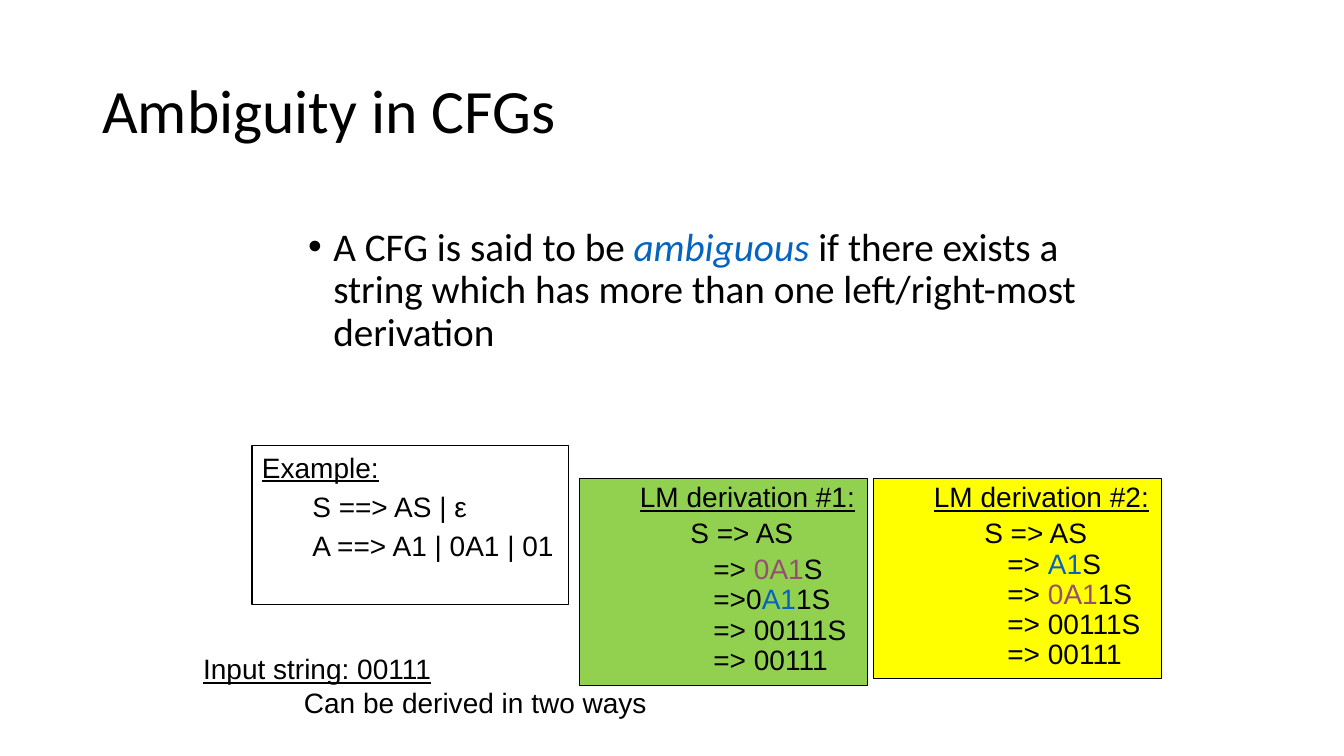
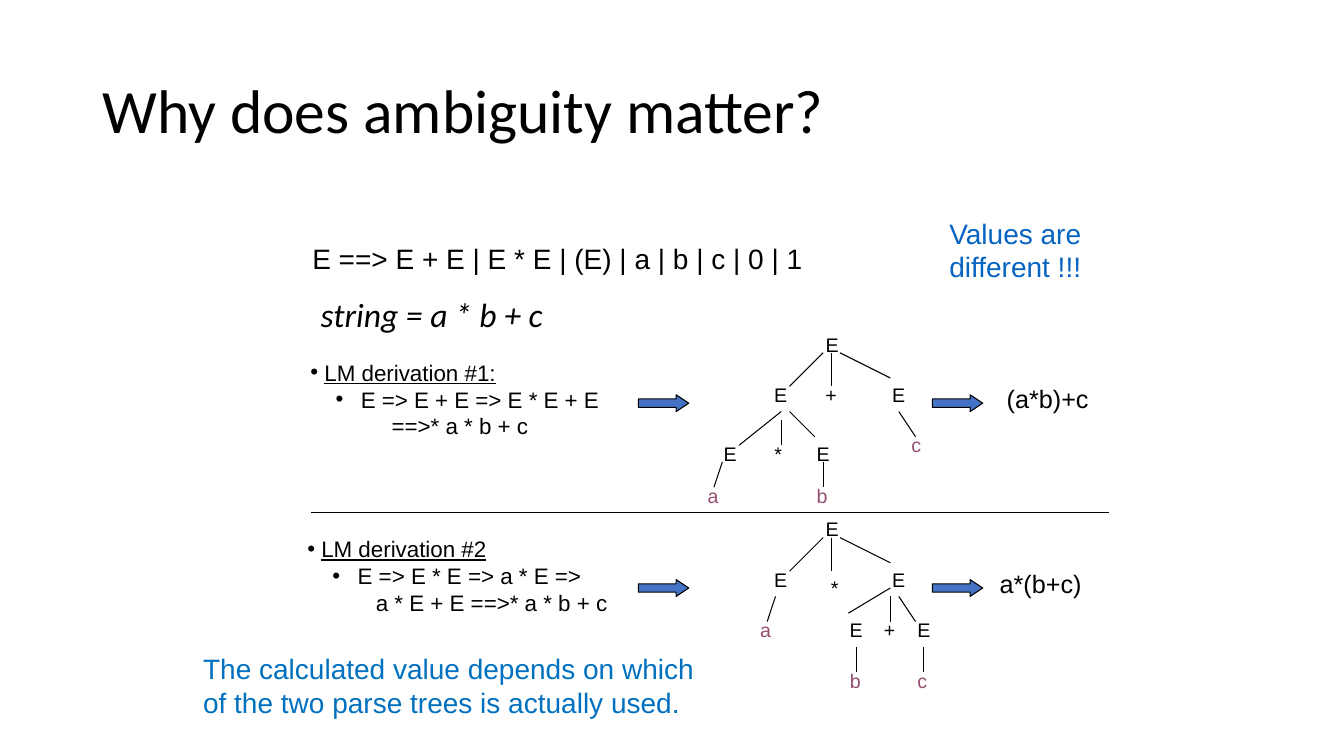
from pptx import Presentation
from pptx.dml.color import RGBColor
from pptx.enum.shapes import MSO_CONNECTOR as Connector, MSO_SHAPE as Shape
from pptx.enum.text import MSO_ANCHOR as Anchor, PP_ALIGN as Align
from pptx.oxml.ns import qn
from pptx.util import Pt
from lxml import etree

COLORS = {"black": "000000", "white": "FFFFFF", "green": "92D050", "yellow": "FFFF00",
          "arrow": "4472C4", "link": "0563C1", "plum": "954F72", "blue": "0070C0"}


def line(*runs, **layout):
    """A paragraph: runs are strings or (string, format) pairs."""
    return runs, layout


# Content: the example grammar and its two derivations
LINK, PLUM = {"color": "link"}, {"color": "plum"}
UNDER, ITALIC = {"underline": True}, {"italic": True}
STEP = {"left": 88.5, "spacing": 0.9}      # derivation steps
GAP = {"before": 4}

DEFINITION = [line("A CFG is said to be ", ("ambiguous ", {**LINK, **ITALIC}),
                   "if there exists a string which has more than one left/right-most derivation",
                   left=18, hang=18, bullet=True, spacing=0.9)]
GRAMMAR = [line(("Example:", UNDER)),
           line("S ==> AS | ε", left=36, **GAP),
           line("A ==> A1 | 0A1 | 01", left=36, **GAP)]
INPUT = [line(("Input string: 00111", UNDER)),
         line("Can be derived in two ways", left=72)]


def derivation(number, *steps):
    return [line((f"LM derivation #{number}:", UNDER), left=36, spacing=0.9),
            line("S => AS", left=72, spacing=0.9, **GAP), *steps,
            line("=> 00111S", **STEP), line("=> 00111", **STEP)]


FIRST = derivation(1, line("=> ", ("0A1", PLUM), "S", **STEP, **GAP),
                   line("=>0", ("A1", LINK), "1S", **STEP))
SECOND = derivation(2, line("=> ", ("A1", LINK), "S", **STEP),
                    line("=> ", ("0A1", PLUM), "1S", **STEP))

# text, (left, top, width, height), fill, size
GRAMMAR_BOXES = [
    (FIRST, (414, 342, 206, 148), "green"),
    (GRAMMAR, (180, 318, 226, 114), "white"),
    (SECOND, (624, 342, 206, 143), "yellow"),
]

# Content: parse trees; nodes are (text, centre, top), branches are (x1, y1, x2, y2),
# with heights counted from the top of the tree
SHARED_NODES = [("E", 594.4, 0), ("E", 557.6, 36), ("E", 641.9, 36)]
SHARED_BRANCHES = [(588, 18, 564, 42), (594, 18, 594, 42), (600, 18, 636, 36),
                   (642, 60, 654, 78)]
TREES = [
    {"top": 234, "value": "(a*b)+c", "value_left": 712,
     "steps_at": (214.6, 18.7), "heading": "LM derivation #1:",
     "steps": ["E => E + E => E * E + E", "==>* a * b + c"], "second_indent": 58,
     "nodes": [("+", 593.6, 36), ("E", 521.6, 78), ("*", 555.8, 78), ("E", 587.9, 78),
               ("a", 509.4, 108), ("b", 587.2, 108), ("c", 654.5, 72)],
     "branches": [(558, 60, 528, 84), (564, 60, 582, 78), (558, 66, 558, 84),
                  (516, 96, 510, 114), (588, 96, 588, 114)]},
    {"top": 366, "value": "a*(b+c)", "value_left": 707,
     "steps_at": (212.4, 12.7), "heading": "LM derivation #2",
     "steps": ["E => E * E => a * E =>", "a * E + E ==>* a * b + c"], "second_indent": 49,
     "nodes": [("*", 596.2, 42), ("E", 659.9, 72), ("+", 635.4, 72), ("E", 611.6, 72),
               ("a", 546.8, 72), ("b", 610.9, 108), ("c", 658.8, 108)],
     "branches": [(660, 96, 660, 114), (554, 60, 548, 78), (612, 96, 612, 114),
                  (636, 54, 606, 72), (636, 60, 636, 78)]},
]
ARROW_LEFTS = (456, 666)
NODE_WIDTH = 24

# text, place, size, colour
TREE_NOTES = [
    ("E ==> E + E | E * E | (E) | a | b | c | 0 | 1", (216, 169, 376, 32), 20, "black"),
    ("Values are different !!!", (671, 151, 116, 55), 20, "link"),
    ("The calculated value depends on which of the two parse trees is actually used.",
     (138, 462, 374, 55), 20, "blue"),
]


# Drawing helpers
def rgb(name):
    return RGBColor.from_string(COLORS[name])


def points(values):
    return [Pt(value) for value in values]


def write(frame, lines, size, color="black", font="Arial", align=Align.LEFT):
    frame.word_wrap = True
    for index, (runs, layout) in enumerate(lines):
        paragraph = frame.paragraphs[0] if index == 0 else frame.add_paragraph()
        props = paragraph._p.get_or_add_pPr()
        hang = layout.get("hang", 0)
        props.set("marL", str(Pt(layout.get("left", 0))))
        props.set("indent", str(-Pt(hang)))
        if layout.get("bullet"):
            etree.SubElement(props, qn("a:buFont")).set("typeface", "Arial")
            etree.SubElement(props, qn("a:buChar")).set("char", "•")
        formats = {"alignment": align, "line_spacing": layout.get("spacing", 1.0),
                   "space_before": Pt(layout.get("before", 0))}
        for name, value in formats.items():
            setattr(paragraph, name, value)
        for item in runs:
            text, style = (item, {}) if isinstance(item, str) else item
            run = paragraph.add_run()
            run.text = text
            run.font.color.rgb = rgb(style.get("color", color))
            formats = {"name": font, "size": Pt(size), "italic": style.get("italic", False),
                       "underline": style.get("underline", False)}
            for name, value in formats.items():
                setattr(run.font, name, value)


def add_text(slide, lines, place, size, **style):
    frame = slide.shapes.add_textbox(*points(place)).text_frame
    write(frame, lines, size, **style)
    return frame


def add_block(slide, kind, place, fill):
    block = slide.shapes.add_shape(kind, *points(place))
    block.shadow.inherit = False
    block.fill.solid()
    block.fill.fore_color.rgb = rgb(fill)
    block.line.color.rgb = rgb("black")
    block.line.width = Pt(0.75)
    return block


def add_rule(slide, *ends):
    rule = slide.shapes.add_connector(Connector.STRAIGHT, *points(ends))
    rule.line.color.rgb = rgb("black")
    rule.line.width = Pt(0.75)
    etree.SubElement(rule._element.spPr, qn("a:effectLst"))


def add_slide(deck, title):
    slide = deck.slides.add_slide(deck.slide_layouts[6])
    frame = add_text(slide, [line(title, spacing=0.9)], (66, 29, 828, 104), 44, font="Calibri")
    frame.vertical_anchor = Anchor.MIDDLE
    return slide


def add_tree(slide, tree):
    top = tree["top"]
    for text, centre, down in SHARED_NODES + tree["nodes"]:
        frame = add_text(slide, [line(text)],
                         (centre - NODE_WIDTH / 2, top + down, NODE_WIDTH, NODE_WIDTH), 14,
                         color="plum" if text in "abc" else "black", align=Align.CENTER)
        frame.margin_left = frame.margin_right = 0
    for x1, y1, x2, y2 in SHARED_BRANCHES + tree["branches"]:
        add_rule(slide, x1, top + y1, x2, top + y2)
    for left in ARROW_LEFTS:
        arrow = add_block(slide, Shape.RIGHT_ARROW, (left, top + 48, 36, 12), "arrow")
        arrow.adjustments[0], arrow.adjustments[1] = 0.5, 0.75
    # Derivation on the left, value on the right
    first, second = tree["steps"]
    left, down = tree["steps_at"]
    add_text(slide, [line((tree["heading"], UNDER), left=10, hang=10, bullet=True),
                     line(first, left=36, hang=18, bullet=True),
                     line(second, left=tree["second_indent"])],
             (left, top + down, 243, 65), 16)
    add_text(slide, [line(tree["value"])], (tree["value_left"], top + 36.6, 86, 29), 18)


def main():
    deck = Presentation()
    deck.slide_width, deck.slide_height = Pt(960), Pt(540)

    # Definition and example
    slide = add_slide(deck, "Ambiguity in CFGs")
    add_text(slide, DEFINITION, (213, 159, 612, 159), 28, font="Calibri")
    for lines, place, fill in GRAMMAR_BOXES:
        frame = add_block(slide, Shape.RECTANGLE, place, fill).text_frame
        frame.vertical_anchor = Anchor.TOP
        frame.margin_right = 0
        write(frame, lines, 20)
    add_text(slide, INPUT, (138, 462, 334, 55), 20)

    # Two parse trees
    slide = add_slide(deck, "Why does ambiguity matter?")
    add_text(slide, [line(("string = a * b + c", ITALIC), spacing=0.9)],
             (222, 210, 195, 33), 24, font="Calibri")
    for text, place, size, color in TREE_NOTES:
        add_text(slide, [line(text)], place, size, color=color)
    for tree in TREES:
        add_tree(slide, tree)
    add_rule(slide, 222, 366, 792, 366)

    deck.save("out.pptx")


if __name__ == "__main__":
    main()
